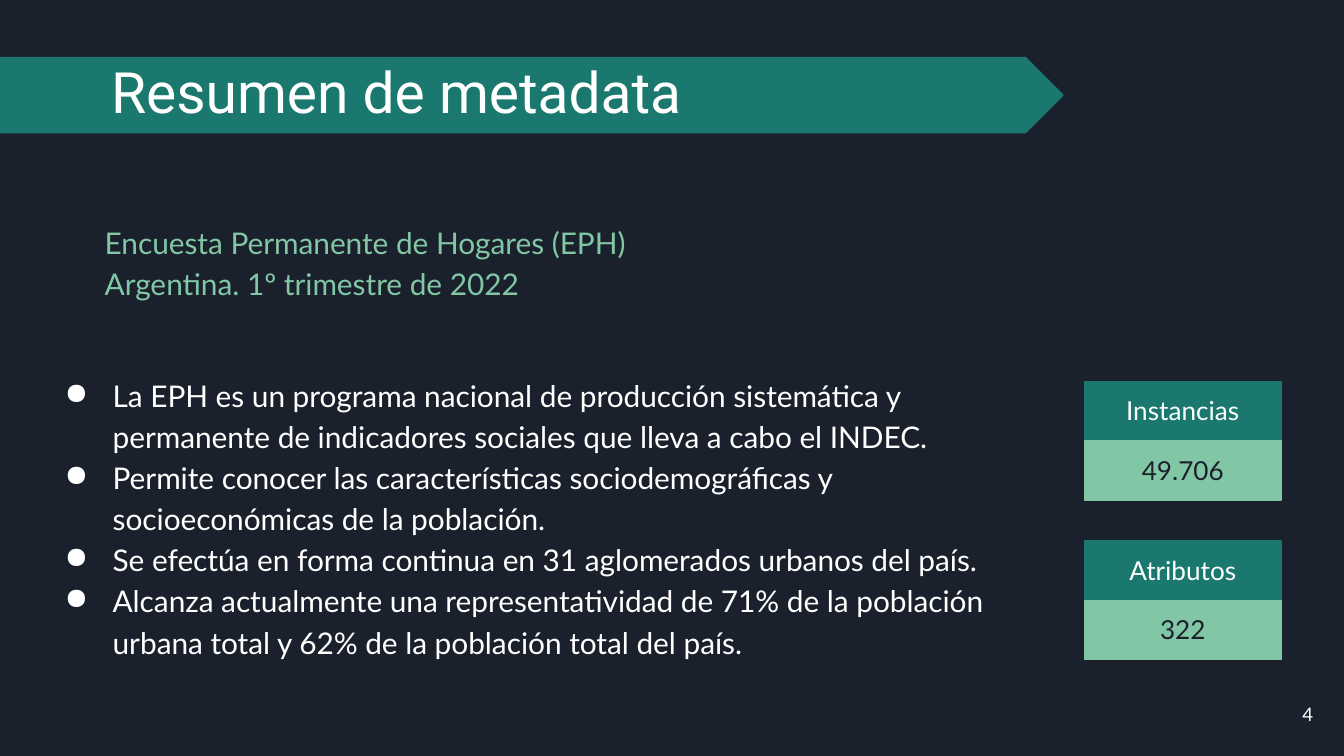
"""Build the metadata summary slide of the household survey."""
from dataclasses import dataclass

from lxml.etree import SubElement
from pptx import Presentation
from pptx.dml.color import RGBColor
from pptx.enum.shapes import MSO_SHAPE as Shape
from pptx.enum.text import MSO_ANCHOR as Anchor, MSO_AUTO_SIZE as AutoSize, PP_ALIGN as Align
from pptx.oxml.ns import qn
from pptx.util import Cm, Pt

COLORS = {"night": "1B212C", "teal": "1B786E", "mint": "82C7A5", "white": "FFFFFF"}


@dataclass(frozen=True)
class Box:
    left: float
    top: float
    width: float
    height: float

    def lengths(self) -> tuple:
        return Cm(self.left), Cm(self.top), Cm(self.width), Cm(self.height)


@dataclass(frozen=True)
class Card:
    label: str
    value: str
    top: float


CARD_LEFT, CARD_WIDTH, CELL_HEIGHT = 20.5, 3.71, 1.12
CARDS = [Card("Instancias", "49.706", 7.21), Card("Atributos", "322", 10.23)]
SUBTITLE = "Encuesta Permanente de Hogares (EPH)\vArgentina. 1º trimestre de 2022"
FACTS = [
    "La EPH es un programa nacional de producción sistemática y permanente "
    "de indicadores sociales que lleva a cabo el INDEC.",
    "Permite conocer las características sociodemográficas y socioeconómicas de la población.",
    "Se efectúa en forma continua en 31 aglomerados urbanos del país.",
    "Alcanza actualmente una representatividad de 71% de la población urbana total "
    "y 62% de la población total del país.",
]


def color(name: str) -> RGBColor:
    return RGBColor.from_string(COLORS[name])


def add_bullet(paragraph) -> None:
    properties = paragraph._p.get_or_add_pPr()
    properties.set("marL", str(Cm(1.27)))
    properties.set("indent", str(Cm(-0.91)))
    bullet_color = SubElement(properties, qn("a:buClr"))
    SubElement(bullet_color, qn("a:srgbClr"), val=COLORS["white"])
    SubElement(properties, qn("a:buChar"), char="●")


def write(shape, *texts: str, size: float = 16, font: str = "Lato", ink: str = "white",
          align=Align.LEFT, anchor=Anchor.TOP, spacing: float = 1.0,
          before: float = 0, after: float = 0, bulleted: bool = False) -> None:
    frame = shape.text_frame
    frame.word_wrap = True
    frame.auto_size = AutoSize.NONE
    frame.vertical_anchor = anchor
    frame.margin_left = frame.margin_right = frame.margin_top = frame.margin_bottom = Cm(0.25)
    for index, text in enumerate(texts):
        paragraph = frame.add_paragraph() if index else frame.paragraphs[0]
        paragraph.text = text
        paragraph.alignment = align
        paragraph.line_spacing = spacing
        paragraph.space_before = Pt(0 if index else before)
        paragraph.space_after = Pt(after)
        if bulleted:
            add_bullet(paragraph)
        for run in paragraph.runs:
            run.font.size = Pt(size)
            run.font.name = font
            run.font.color.rgb = color(ink)


def add_block(slide, kind, box: Box, fill: str):
    shape = slide.shapes.add_shape(kind, *box.lengths())
    shape.shadow.inherit = False
    shape.fill.solid()
    shape.fill.fore_color.rgb = color(fill)
    shape.line.color.rgb = color(fill)
    shape.line.width = Pt(0.75)
    return shape


def add_card(slide, card: Card) -> None:
    rows = [(card.label, "teal", "white"), (card.value, "mint", "night")]
    for index, (text, fill, ink) in enumerate(rows):
        box = Box(CARD_LEFT, card.top + index * CELL_HEIGHT, CARD_WIDTH, CELL_HEIGHT)
        cell = add_block(slide, Shape.RECTANGLE, box, fill)
        write(cell, text, size=14, ink=ink, align=Align.CENTER)


def add_title(slide, text: str, box: Box) -> None:
    title = slide.shapes.title
    title.left, title.top, title.width, title.height = box.lengths()
    write(title, text, size=30.5, font="Roboto")
    banner = add_block(slide, Shape.PENTAGON, Box(0, 1.09, 20.09, 1.42), "teal")
    title.element.addprevious(banner.element)


def main() -> None:
    presentation = Presentation()
    presentation.slide_width, presentation.slide_height = Cm(25.4), Cm(14.29)
    slide = presentation.slides.add_slide(presentation.slide_layouts[5])
    slide.background.fill.solid()
    slide.background.fill.fore_color.rgb = color("night")

    add_title(slide, "Resumen de metadata", Box(1.85, 0.81, 19.56, 2.54))
    facts = slide.shapes.add_textbox(*Box(0.61, 6.78, 18.31, 5.92).lengths())
    write(facts, *FACTS, spacing=1.15, before=12, bulleted=True)
    number = slide.shapes.add_textbox(*Box(23.55, 12.95, 1.52, 1.09).lengths())
    write(number, "4", size=10, align=Align.RIGHT, anchor=Anchor.MIDDLE)
    for card in CARDS:
        add_card(slide, card)
    subtitle = slide.shapes.add_textbox(*Box(1.73, 3.89, 11, 2.24).lengths())
    write(subtitle, SUBTITLE, ink="mint", spacing=1.15, before=12, after=12)

    presentation.save("out.pptx")


if __name__ == "__main__":
    main()
